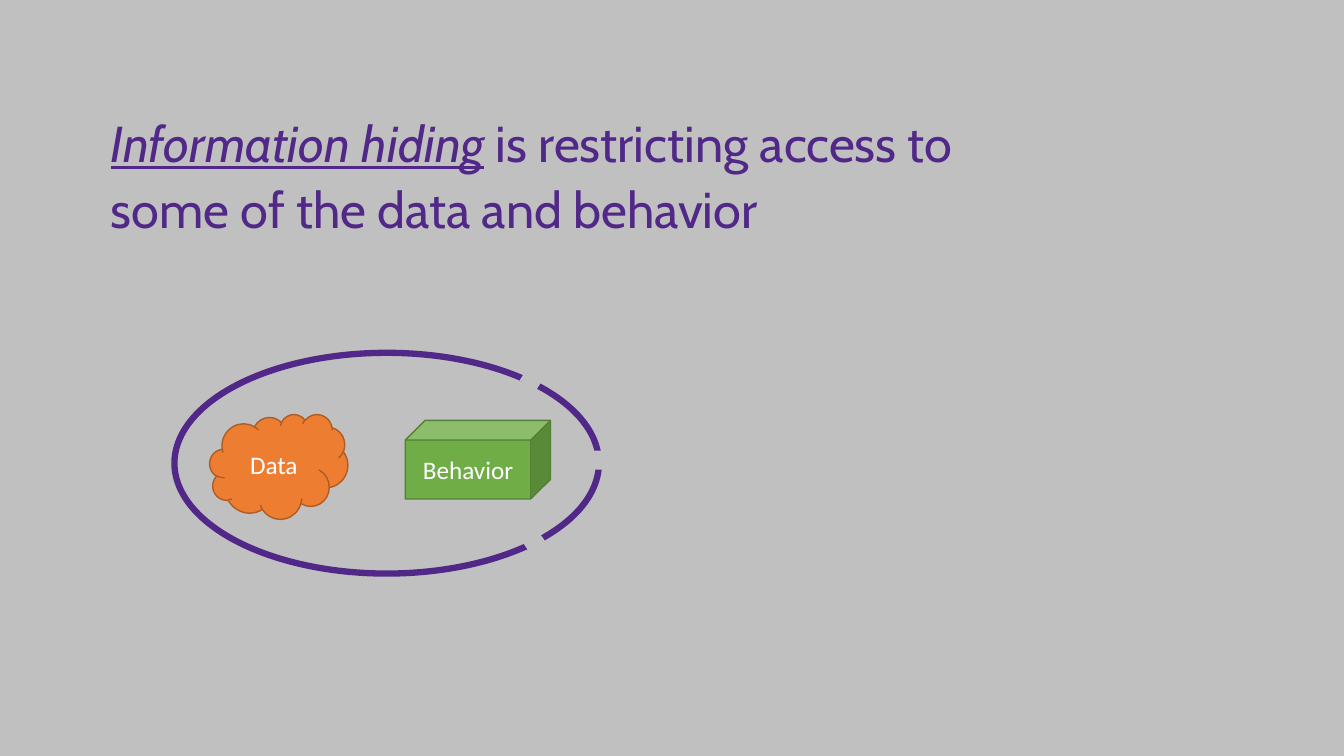
"""Build the slide that defines information hiding."""
from pptx import Presentation
from pptx.dml.color import RGBColor
from pptx.enum.shapes import MSO_SHAPE as SHAPE
from pptx.enum.text import MSO_ANCHOR as ANCHOR, MSO_AUTO_SIZE as AUTO_SIZE, PP_ALIGN as ALIGN
from pptx.util import Inches, Pt

PURPLE, GRAY, WHITE = "512888", "C0C0C0", "FFFFFF"
TERM = "Information hiding"
DEFINITION = " is restricting access to some of the data and behavior"
MEMBERS = [
    ("Data", SHAPE.CLOUD, (2.08, 4.11, 1.37, 1.04), "ED7D31", "AF5C24"),
    ("Behavior", SHAPE.CUBE, (4.02, 4.17, 1.44, 0.78), "70AD47", "538035"),
]
BOUNDARY = (1.73, 3.5, 4.21, 2.19)
GAP_SIZE = 0.19
GAPS = [(5.19, 3.65, 32.3), (5.2, 5.28, 55.1), (5.84, 4.47, 0)]


def rgb(color):
    return RGBColor.from_string(color)


def add_shape(s, kind, box, fill=None, line=None, width=1):
    sp = s.shapes.add_shape(kind, *map(Inches, box))
    sp.shadow.inherit = False
    if fill:
        sp.fill.solid()
        sp.fill.fore_color.rgb = rgb(fill)
    else:
        sp.fill.background()
    if line:
        sp.line.color.rgb = rgb(line)
        sp.line.width = Pt(width)
    else:
        sp.line.fill.background()
    return sp


def set_font(p, name, size, color):
    p.font.name = name
    p.font.size = Pt(size)
    p.font.color.rgb = rgb(color)


def add_definition(s):
    title = s.shapes.title
    title.left, title.top, title.width, title.height = map(Inches, (1, 1, 8.77, 1.57))
    tf = title.text_frame
    tf.word_wrap = True
    tf.auto_size = AUTO_SIZE.NONE
    tf.vertical_anchor = ANCHOR.TOP
    p = tf.paragraphs[0]
    p.alignment = ALIGN.LEFT
    p.line_spacing = 1.1
    p.space_before = Pt(0)
    set_font(p, "Cabin", 36, PURPLE)
    r = p.add_run()
    r.text = TERM
    r.font.italic = r.font.underline = True
    p.add_run().text = DEFINITION


def add_member(s, label, kind, box, fill, line):
    tf = add_shape(s, kind, box, fill, line).text_frame
    tf.word_wrap = True
    tf.vertical_anchor = ANCHOR.MIDDLE
    p = tf.paragraphs[0]
    p.text = label
    p.alignment = ALIGN.CENTER
    set_font(p, "Calibri", 18, WHITE)


def main():
    prs = Presentation()
    prs.slide_width, prs.slide_height = Inches(13.33), Inches(7.5)
    s = prs.slides.add_slide(prs.slide_layouts[5])
    s.background.fill.solid()
    s.background.fill.fore_color.rgb = rgb(GRAY)
    add_definition(s)
    for member in MEMBERS:
        add_member(s, *member)
    add_shape(s, SHAPE.OVAL, BOUNDARY, line=PURPLE, width=4.5)
    for left, top, angle in GAPS:
        gap = add_shape(s, SHAPE.RECTANGLE, (left, top, GAP_SIZE, GAP_SIZE), GRAY)
        gap.rotation = angle
    prs.save("out.pptx")


if __name__ == "__main__":
    main()
